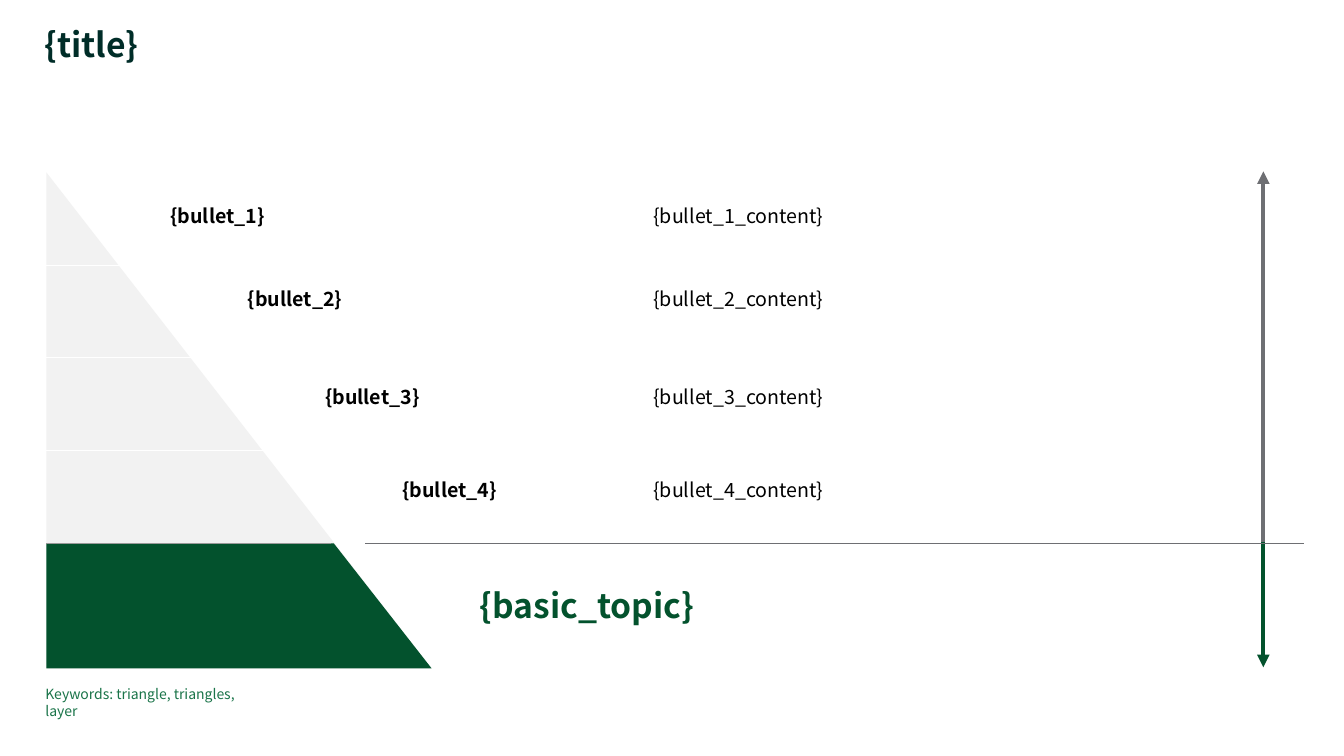
from lxml import etree
from pptx import Presentation
from pptx.dml.color import RGBColor
from pptx.enum.shapes import MSO_CONNECTOR, MSO_SHAPE
from pptx.enum.text import MSO_ANCHOR, MSO_AUTO_SIZE, PP_ALIGN
from pptx.oxml.ns import qn
from pptx.util import Inches, Pt

FONT = "Noto Sans CJK JP"
COLORS = {
    "title": "002D28",
    "black": "000000",
    "base": "03522D",
    "keywords": "1A7449",
    "axis": "6E6F73",
    "edge": "999999",
    "layer": "F2F2F2",
    "white": "FFFFFF",
}

PYRAMID_LEFT, PYRAMID_TOP, PYRAMID_WIDTH, PYRAMID_HEIGHT = 0.46, 1.71, 3.82, 4.92
BASE_TOP = 5.39
LAYER_HEIGHT = 0.92
ARROW_X = 12.53

LEVEL_TOPS = [2.02, 2.84, 3.82, 4.74]
LEVEL_LEFT, LEVEL_STEP = 1.69, 0.767
DIVIDER_ENDS = [1.32, 2.2, 2.77]


def color(name):
    return RGBColor.from_string(COLORS[name])


def write(frame, text, *, size=14, ink="black", bold=False,
          anchor=MSO_ANCHOR.MIDDLE, line_spacing=None, space_after=None):
    frame.word_wrap = True
    frame.auto_size = MSO_AUTO_SIZE.NONE
    frame.vertical_anchor = anchor
    frame.margin_left = frame.margin_right = 0
    frame.margin_top = frame.margin_bottom = 0
    paragraph = frame.paragraphs[0]
    paragraph.alignment = PP_ALIGN.LEFT
    if line_spacing is not None:
        paragraph.line_spacing = line_spacing
    if space_after is not None:
        paragraph.space_after = Pt(space_after)
    run = paragraph.add_run()
    run.text = text
    run.font.name = FONT
    run.font.size = Pt(size)
    run.font.bold = bold
    run.font.color.rgb = color(ink)


def add_label(slide, text, left, top, width, height, **text_format):
    label = slide.shapes.add_textbox(
        Inches(left), Inches(top), Inches(width), Inches(height))
    write(label.text_frame, text, **text_format)


def add_line(slide, start, end, ink, weight, arrow=False):
    line = slide.shapes.add_connector(
        MSO_CONNECTOR.STRAIGHT, *map(Inches, (*start, *end)))
    line.line.color.rgb = color(ink)
    line.line.width = Pt(weight)
    if arrow:
        etree.SubElement(line.line._get_or_add_ln(), qn("a:tailEnd"), type="triangle")
    etree.SubElement(line._element.spPr, qn("a:effectLst"))


def paint(shape, fill):
    shape.shadow.inherit = False
    shape.fill.solid()
    shape.fill.fore_color.rgb = color(fill)
    shape.line.fill.background()


def add_title(slide, text):
    title = slide.shapes.title
    title.left, title.top = Inches(0.44), Inches(0.28)
    title.width, title.height = Inches(11.03), Inches(0.37)
    write(title.text_frame, text, size=24, ink="title", bold=True,
          anchor=MSO_ANCHOR.TOP, line_spacing=0.9)


def add_pyramid(slide):
    pyramid = slide.shapes.add_shape(
        MSO_SHAPE.RIGHT_TRIANGLE, Inches(PYRAMID_LEFT), Inches(PYRAMID_TOP),
        Inches(PYRAMID_WIDTH), Inches(PYRAMID_HEIGHT))
    paint(pyramid, "layer")

    bottom = PYRAMID_TOP + PYRAMID_HEIGHT
    outline = slide.shapes.build_freeform(Inches(PYRAMID_LEFT), Inches(BASE_TOP))
    corners = [(3.31, BASE_TOP), (PYRAMID_LEFT + PYRAMID_WIDTH, bottom),
               (PYRAMID_LEFT, bottom)]
    outline.add_line_segments([(Inches(x), Inches(y)) for x, y in corners], close=True)
    paint(outline.convert_to_shape(), "base")

    for number, end_x in enumerate(DIVIDER_ENDS, start=1):
        y = PYRAMID_TOP + number * LAYER_HEIGHT
        add_line(slide, (end_x, y), (0.39, y), "white", 0.5)
    add_line(slide, (3.28, BASE_TOP), (PYRAMID_LEFT, BASE_TOP), "edge", 0.5)


def add_levels(slide):
    for index, top in enumerate(LEVEL_TOPS):
        name = f"bullet_{index + 1}"
        add_label(slide, f"{{{name}}}", LEVEL_LEFT + index * LEVEL_STEP, top,
                  2.2, 0.24, bold=True)
        add_label(slide, f"{{{name}_content}}", 6.48, top, 4.66, 0.24)


def main():
    prs = Presentation()
    prs.slide_width, prs.slide_height = Inches(13.33), Inches(7.5)
    slide = prs.slides.add_slide(prs.slide_layouts[5])
    add_title(slide, "{title}")

    # Vertical arrows and the line that separates the base
    add_line(slide, (ARROW_X, 5.38), (ARROW_X, 6.62), "base", 3, arrow=True)
    add_line(slide, (ARROW_X, 5.38), (ARROW_X, 1.7), "axis", 3, arrow=True)
    add_line(slide, (12.93, BASE_TOP), (3.62, BASE_TOP), "axis", 0.5)

    # Layered triangle with its labels
    add_pyramid(slide)
    add_levels(slide)
    add_label(slide, "{basic_topic}", 4.76, 5.8, 3.53, 0.4,
              size=24, ink="base", bold=True)

    # Keywords below the triangle
    add_label(slide, "Keywords: triangle, triangles, layer", 0.45, 6.8, 2.13, 0.17,
              size=10, ink="keywords", anchor=MSO_ANCHOR.TOP, space_after=1.1)

    prs.save("out.pptx")


if __name__ == "__main__":
    main()
